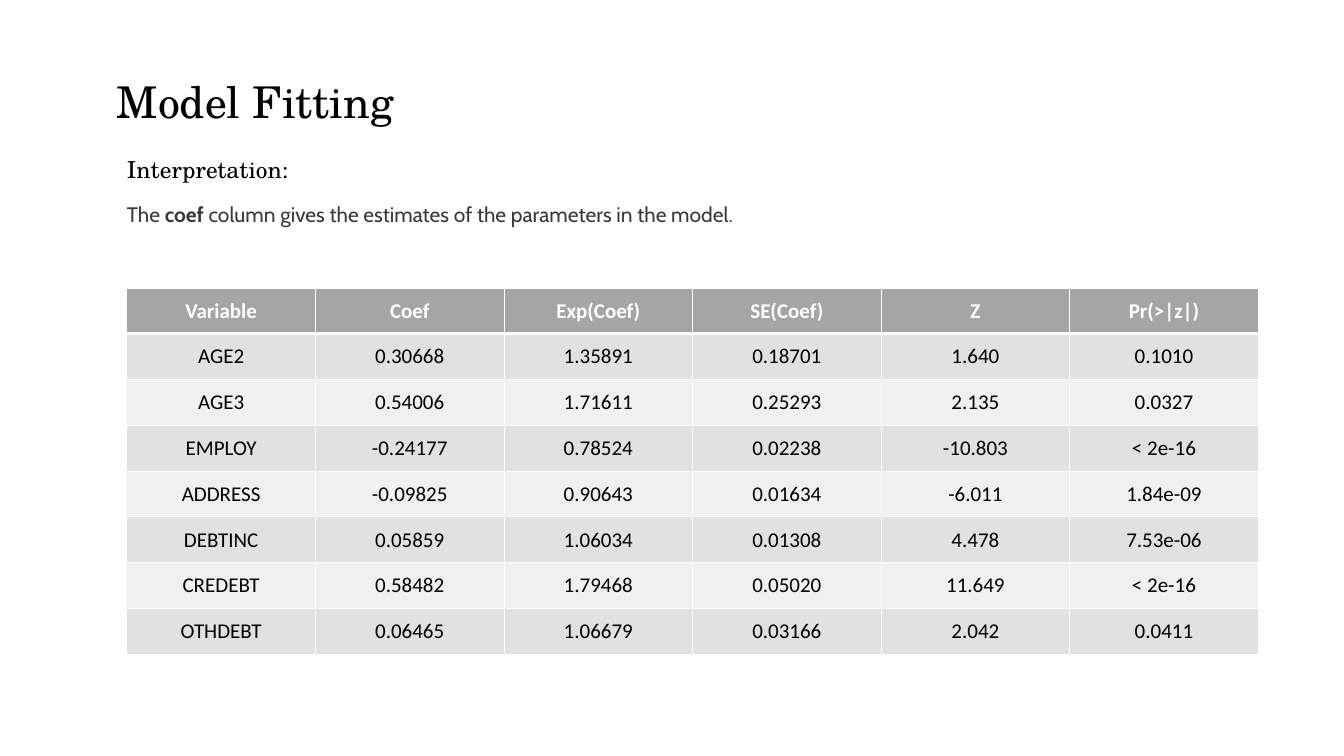
from lxml.etree import SubElement as Sub
from pptx import Presentation
from pptx.dml.color import RGBColor as Rgb
from pptx.enum.text import MSO_ANCHOR as Anchor, MSO_AUTO_SIZE as Auto, PP_ALIGN as Align
from pptx.oxml.ns import qn
from pptx.util import Inches, Pt

COLORS = {
    "page": "FFFFFF", "title": "020202", "body": "383838",
    "head": "A5A5A5", "dark": "E1E1E1", "light": "F0F0F0", "cell": "000000",
}
SERIF, SANS, GRID = "TeX Gyre Schola", "Cabin", "Calibri"

ROWS = [
    ["Variable", "Coef", "Exp(Coef)", "SE(Coef)", "Z", "Pr(>|z|)"],
    ["AGE2", "0.30668", "1.35891", "0.18701", "1.640", "0.1010"],
    ["AGE3", "0.54006", "1.71611", "0.25293", "2.135", "0.0327"],
    ["EMPLOY", "-0.24177", "0.78524", "0.02238", "-10.803", "< 2e-16"],
    ["ADDRESS", "-0.09825", "0.90643", "0.01634", "-6.011", "1.84e-09"],
    ["DEBTINC", "0.05859", "1.06034", "0.01308", "4.478", "7.53e-06"],
    ["CREDEBT", "0.58482", "1.79468", "0.05020", "11.649", "< 2e-16"],
    ["OTHDEBT", "0.06465", "1.06679", "0.03166", "2.042", "0.0411"],
]


def apply(item, **values):
    for name, value in values.items():
        setattr(item, name, value)


class Deck:
    def __init__(self, wide, high):
        self.file = Presentation()
        apply(self.file, slide_width=Inches(wide), slide_height=Inches(high))
        self.slide = self.file.slides.add_slide(self.file.slide_layouts[3])
        fill = self.slide.background.fill
        fill.solid()
        fill.fore_color.rgb = self.color("page")

    def color(self, name):
        return Rgb.from_string(COLORS[name])

    def place(self, left, top, width, height):
        wide, high = self.file.slide_width, self.file.slide_height
        sizes = (left, wide), (top, high), (width, wide), (height, high)
        return [round(share * full / 100) for share, full in sizes]

    def runs(self, para, parts, face, size, color):
        for text, bold in parts:
            run = para.add_run()
            run.text = text
            apply(run.font, name=face, size=Pt(size), bold=bold)
            run.font.color.rgb = self.color(color)

    def text(self, slot, spot, parts, face, size, color, line):
        box = self.slide.placeholders[slot]
        left, top, width, height = self.place(*spot)
        apply(box, left=left, top=top, width=width, height=height)
        frame = box.text_frame
        apply(frame, margin_left=0, margin_top=0, margin_right=0, margin_bottom=0,
              word_wrap=True, auto_size=Auto.NONE, vertical_anchor=Anchor.TOP)
        para = frame.paragraphs[0]
        props = para._p.get_or_add_pPr()
        apply(para, alignment=Align.LEFT, line_spacing=Pt(line), space_before=Pt(0))
        props.set("marL", "0")
        props.set("indent", "0")
        Sub(props, qn("a:buNone"))
        self.runs(para, parts, face, size, color)

    def edge(self, cell, side, width):
        line = Sub(cell._tc.get_or_add_tcPr(), qn(f"a:ln{side}"), w=str(Pt(width)))
        fill = Sub(line, qn("a:solidFill"))
        Sub(fill, qn("a:srgbClr"), val=COLORS["page"])

    def cell(self, cell, text, head, shade):
        pad = Inches(0.06)
        apply(cell, margin_left=pad, margin_top=pad, margin_right=pad,
              margin_bottom=pad, vertical_anchor=Anchor.MIDDLE)
        edges = {"L": 1, "R": 1, "T": 1, "B": 3} if head else {"L": 1, "R": 1, "B": 1}
        for side, width in edges.items():
            self.edge(cell, side, width)
        cell.fill.solid()
        cell.fill.fore_color.rgb = self.color(shade)
        para = cell.text_frame.paragraphs[0]
        para.alignment = Align.CENTER
        self.runs(para, [(text, head)], GRID, 18, "page" if head else "cell")

    def table(self, spot, rows):
        frame = self.slide.shapes.add_table(len(rows), len(rows[0]), *self.place(*spot))
        for r, row in enumerate(rows):
            shade = "head" if r == 0 else "dark" if r % 2 else "light"
            for c, text in enumerate(row):
                self.cell(frame.table.cell(r, c), text, r == 0, shade)


def main():
    deck = Deck(16, 9)
    deck.table((9.44, 38.11, 84.19, 48.44), ROWS)
    deck.text(0, (8.69, 8.67, 36.63, 8.11), [("Model Fitting", False)],
              SERIF, 37.5, "title", 52.5)
    deck.text(1, (9.44, 19.33, 22, 4.89), [("Interpretation:", False)],
              SERIF, 20, "title", 31.5)
    note = [("The ", False), ("coef", True),
            (" column gives the estimates of the parameters in the model.", False)]
    deck.text(2, (9.44, 25, 89.13, 5), note, SANS, 18, "body", 32)
    deck.file.save("out.pptx")


if __name__ == "__main__":
    main()
